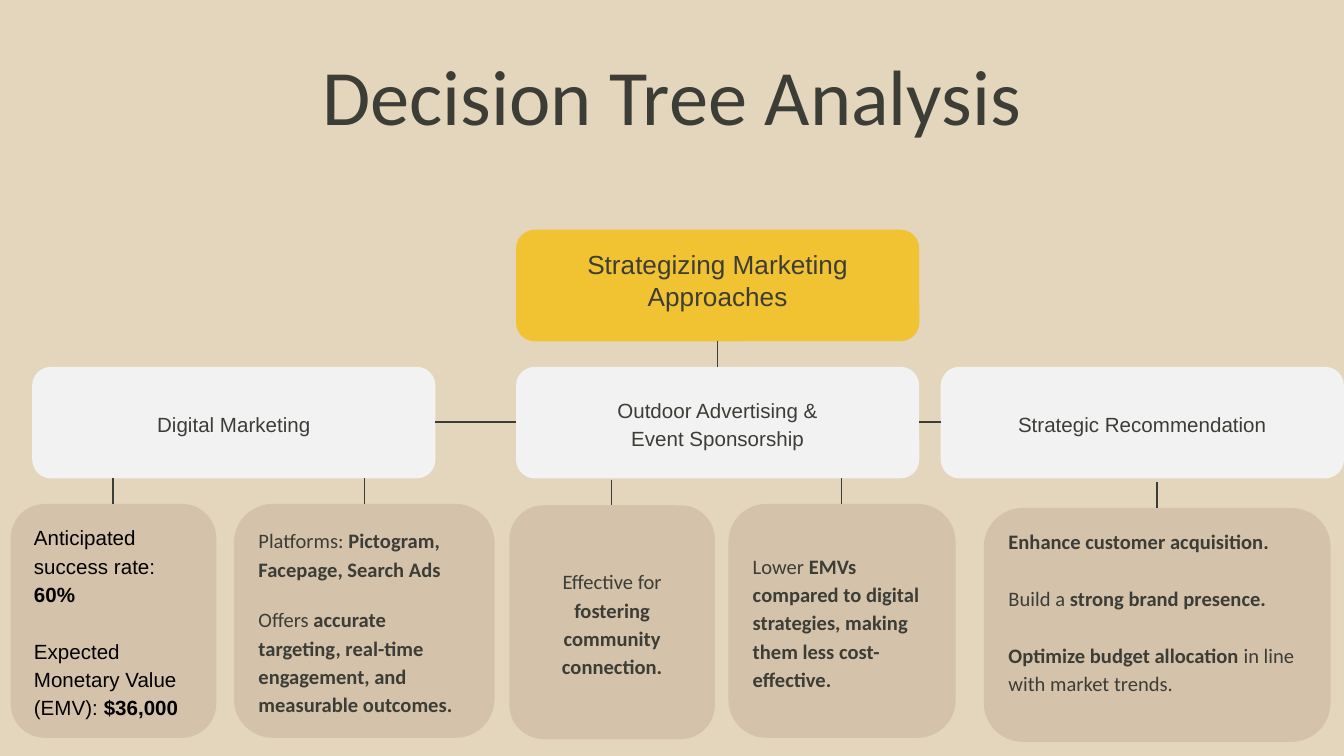
"""Build a decision tree slide comparing marketing approaches."""
from dataclasses import dataclass

import pptx
import pptx.dml.color
import pptx.enum.shapes
import pptx.enum.text
import pptx.oxml.ns
import pptx.util
from lxml import etree

COLORS = {
    "background": "E3D6BC", "ink": "3C3D36", "black": "000000",
    "root": "F1C232", "branch": "F2F2F2", "leaf": "D4C2AB",
}
PP_ALIGN = pptx.enum.text.PP_ALIGN
MSO_ANCHOR = pptx.enum.text.MSO_ANCHOR
COLUMNS = 100
WIDTH = pptx.util.Inches(10)
HEIGHT = pptx.util.Inches(5.625)
CELL = WIDTH // COLUMNS
INSET = 1
BRANCH_W, BRANCH_H = 30, 8.3
ROOT_TOP, BRANCH_TOP, LEAF_TOP, LEAF_H = 17.1, 27.3, 37.5, 17.4
LINK_Y = 31.4
STEM = 1.9
BLANK_LINE = 15.3


@dataclass
class Card:
    """A rounded card in grid cells, with paragraphs of (text, bold) runs."""
    col: float
    row: float
    width: float
    height: float
    fill: str
    paragraphs: list
    font: str = "Calibri"
    size: float = 11
    color: str = "ink"
    align: PP_ALIGN = PP_ALIGN.LEFT
    anchor: MSO_ANCHOR = MSO_ANCHOR.MIDDLE
    spacing: float = 1.15
    gap: float = 0
    bottom: float = INSET


@dataclass
class Link:
    """A straight line between two grid points."""
    col: float
    row: float
    end_col: float
    end_row: float


def grid(cells: float) -> int:
    """Convert grid cells to a length."""
    return pptx.util.Emu(round(cells * CELL))


def rgb(name: str) -> pptx.dml.color.RGBColor:
    """Look up a named colour."""
    return pptx.dml.color.RGBColor.from_string(COLORS[name])


def set_insets(tf, bottom: float = INSET) -> None:
    """Give a text frame its margins and wrapping."""
    tf.word_wrap = True
    tf.margin_left = tf.margin_right = tf.margin_top = grid(INSET)
    tf.margin_bottom = grid(bottom)


def format_run(r, font: str, size: float, color: str, bold: bool = False) -> None:
    """Format one run."""
    r.font.name = font
    r.font.size = pptx.util.Pt(size)
    r.font.bold = bold
    r.font.color.rgb = rgb(color)


def draw_title(s, text: str) -> None:
    """Place and format the title placeholder."""
    sp = s.shapes.title
    sp.left, sp.top, sp.width, sp.height = map(grid, (23, 4.7, 57.5, 7.1))
    tf = sp.text_frame
    tf.text = text
    set_insets(tf)
    tf.auto_size = pptx.enum.text.MSO_AUTO_SIZE.NONE
    tf.vertical_anchor = MSO_ANCHOR.TOP
    p = tf.paragraphs[0]
    p.alignment = PP_ALIGN.LEFT
    p.line_spacing = 0.65
    format_run(p.runs[0], "Calibri", 42, "ink")


def draw_card(s, card: Card) -> None:
    """Draw one card with its text."""
    sp = s.shapes.add_shape(
        pptx.enum.shapes.MSO_SHAPE.ROUNDED_RECTANGLE,
        *map(grid, (card.col, card.row, card.width, card.height)))
    sp.shadow.inherit = False
    sp.fill.solid()
    sp.fill.fore_color.rgb = rgb(card.fill)
    sp.line.fill.background()
    tf = sp.text_frame
    set_insets(tf, card.bottom)
    tf.vertical_anchor = card.anchor
    for i, runs in enumerate(card.paragraphs):
        p = tf.add_paragraph() if i else tf.paragraphs[0]
        p.alignment = card.align
        p.line_spacing = card.spacing
        if i and card.gap:
            p.space_before = pptx.util.Pt(card.gap)
        for text, bold in runs:
            r = p.add_run()
            r.text = text
            format_run(r, card.font, card.size, card.color, bold)


def draw_link(s, link: Link) -> None:
    """Draw one line of the tree."""
    sp = s.shapes.add_connector(
        pptx.enum.shapes.MSO_CONNECTOR.STRAIGHT,
        *map(grid, (link.col, link.row, link.end_col, link.end_row)))
    sp.line.color.rgb = rgb("ink")
    sp.line.width = pptx.util.Pt(0.75)
    etree.SubElement(sp._element.spPr, pptx.oxml.ns.qn("a:effectLst"))


def branch(col: float, *lines: str) -> Card:
    """Describe a second-level card."""
    return Card(col, BRANCH_TOP, BRANCH_W, BRANCH_H, "branch",
                [[(line, False)] for line in lines],
                font="Arial", align=PP_ALIGN.CENTER)


def leaf(col: float, width: float, paragraphs: list, drop: float = 0, **style) -> Card:
    """Describe a third-level card, lowered by drop cells."""
    return Card(col, LEAF_TOP + drop, width, LEAF_H, "leaf", paragraphs, **style)


def stem(col: float, bottom: float) -> Link:
    """Describe a short vertical line ending at a card's top."""
    return Link(col, bottom - STEM, col, bottom)


CARDS = [
    Card(38.4, ROOT_TOP, BRANCH_W, BRANCH_H, "root",
         [[("Strategizing Marketing Approaches", False)]], font="Arial", size=14,
         align=PP_ALIGN.CENTER, anchor=MSO_ANCHOR.TOP, spacing=1.0),
    branch(2.4, "Digital Marketing"),
    branch(38.4, "Outdoor Advertising &", "Event Sponsorship"),
    branch(70, "Strategic Recommendation"),
    leaf(0.8, 15.3, [
        [("Anticipated success rate: ", False), ("60%", True)],
        [("Expected Monetary Value (EMV): ", False), ("$36,000", True)],
    ], font="Arial", color="black", gap=BLANK_LINE),
    leaf(17.4, 19.4, [
        [("Platforms: ", False), ("Pictogram, Facepage, Search Ads", True)],
        [("Offers ", False),
         ("accurate targeting, real-time engagement, and measurable outcomes.", True)],
    ], gap=12),
    leaf(37.9, 15.3, [
        [("Effective for ", False), ("fostering community connection.", True)],
    ], drop=0.1, align=PP_ALIGN.CENTER),
    leaf(54.2, 16.9, [
        [("Lower ", False),
         ("EMVs compared to digital strategies, making them less cost-effective.", True)],
    ]),
    leaf(73.2, 25.8, [
        [("Enhance customer acquisition.", True)],
        [("Build a ", False), ("strong brand presence.", True)],
        [("Optimize budget allocation", True), (" in line with market trends.", False)],
    ], drop=0.3, gap=BLANK_LINE, bottom=3.1),
]
LINKS = [
    stem(53.4, BRANCH_TOP),
    Link(32.4, LINK_Y, 38.4, LINK_Y),
    Link(68.4, LINK_Y, 70, LINK_Y),
    *(stem(col, LEAF_TOP + drop) for col, drop in
      [(8.4, 0), (27.1, 0), (45.5, 0.1), (62.6, 0), (86.1, 0.3)]),
]


def main() -> None:
    """Build and save the slide."""
    prs = pptx.Presentation()
    prs.slide_width, prs.slide_height = WIDTH, HEIGHT
    s = prs.slides.add_slide(prs.slide_layouts[5])
    s.background.fill.solid()
    s.background.fill.fore_color.rgb = rgb("background")
    draw_title(s, "Decision Tree Analysis")
    for card in CARDS:
        draw_card(s, card)
    for link in LINKS:
        draw_link(s, link)
    prs.save("out.pptx")


if __name__ == "__main__":
    main()
